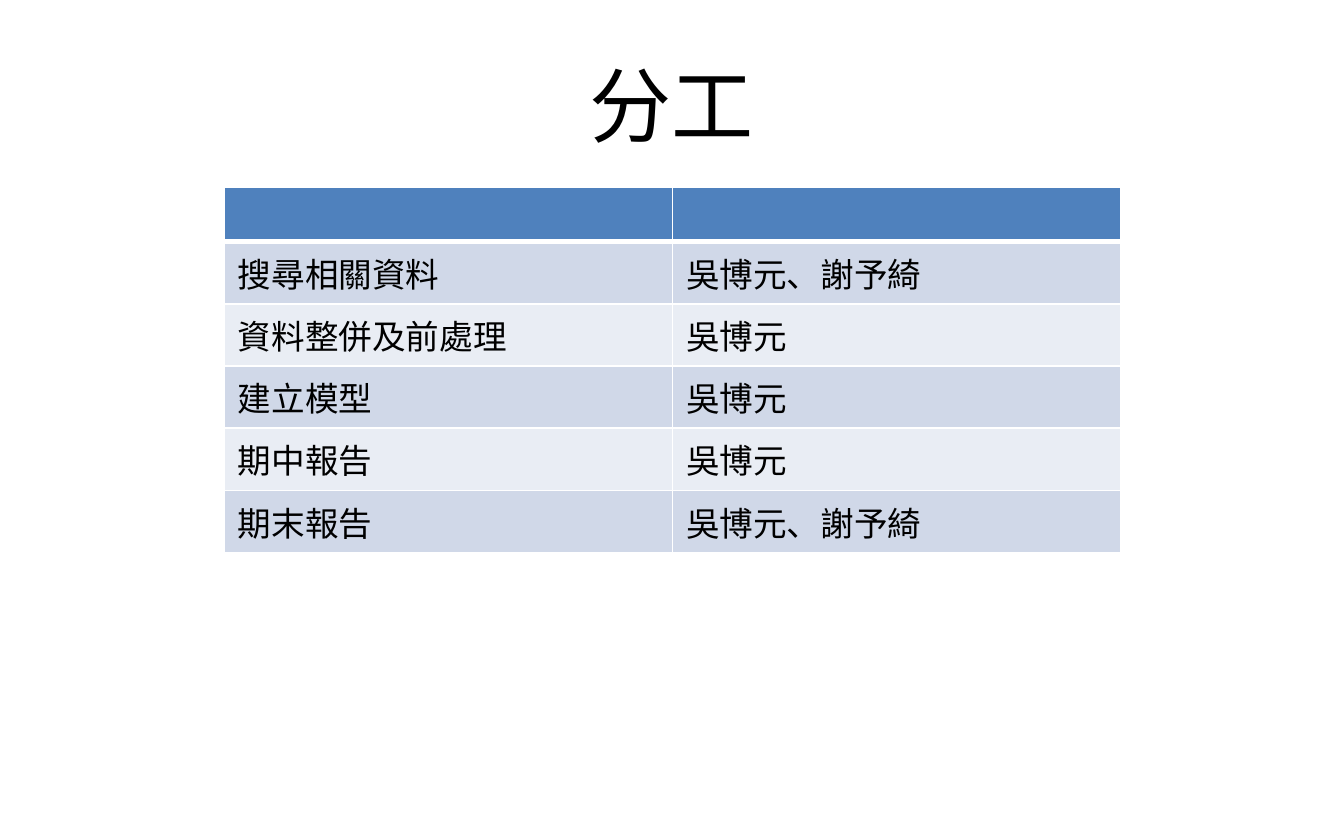
from dataclasses import dataclass

from lxml.etree import SubElement
from pptx import Presentation
from pptx.dml.color import RGBColor
from pptx.enum.text import MSO_ANCHOR, PP_ALIGN
from pptx.oxml.ns import qn
from pptx.util import Inches, Pt

COLORS = {
    "text": "000000",
    "line": "FFFFFF",
    "head": "4F81BD",
    "odd": "D0D8E8",
    "even": "E9EDF4",
}


@dataclass
class Task:
    name: str
    people: str


TASKS = [
    Task("搜尋相關資料", "吳博元、謝予綺"),
    Task("資料整併及前處理", "吳博元"),
    Task("建立模型", "吳博元"),
    Task("期中報告", "吳博元"),
    Task("期末報告", "吳博元、謝予綺"),
]


def write(frame, text: str, *, size: float, font: str,
          align=PP_ALIGN.LEFT, color: str = "text") -> None:
    para = frame.paragraphs[0]
    para.alignment = align
    run = para.add_run()
    run.text = text
    run.font.size = Pt(size)
    run.font.name = font
    run.font.color.rgb = RGBColor.from_string(COLORS[color])


def border(cell, side: str, width: float) -> None:
    props = cell._tc.get_or_add_tcPr()
    line = SubElement(props, qn(f"a:ln{side}"), w=str(Pt(width)))
    fill = SubElement(line, qn("a:solidFill"))
    SubElement(fill, qn("a:srgbClr"), val=COLORS["line"])


def paint(cell, row: int) -> None:
    # Borders come before the fill in the cell properties
    for side in "LRTB":
        thick = (row == 0 and side == "B") or (row == 1 and side == "T")
        border(cell, side, 3 if thick else 1)
    shade = "head" if row == 0 else "odd" if row % 2 else "even"
    cell.fill.solid()
    cell.fill.fore_color.rgb = RGBColor.from_string(COLORS[shade])


def add_tasks(slide, tasks: list[Task]) -> None:
    rows = len(tasks) + 1
    high = Inches(0.41)
    table = slide.shapes.add_table(
        rows, 2, Inches(1.67), Inches(1.39), Inches(6.67), high * rows
    ).table
    for i, row in enumerate(table.rows):
        row.height = high
        for cell in row.cells:
            paint(cell, i)
    for i, task in enumerate(tasks, 1):
        for j, text in enumerate((task.name, task.people)):
            write(table.cell(i, j).text_frame, text, size=18, font="Arial")


def main() -> None:
    deck = Presentation()
    deck.slide_width, deck.slide_height = Inches(10), Inches(6.25)
    slide = deck.slides.add_slide(deck.slide_layouts[5])

    # Title
    title = slide.shapes.title
    title.left, title.top = Inches(0.5), Inches(0.25)
    title.width, title.height = Inches(9), Inches(1.04)
    title.text_frame.vertical_anchor = MSO_ANCHOR.MIDDLE
    write(title.text_frame, "分工", size=44, font="Calibri",
          align=PP_ALIGN.CENTER)

    # Division of work
    add_tasks(slide, TASKS)
    deck.save("out.pptx")


if __name__ == "__main__":
    main()
